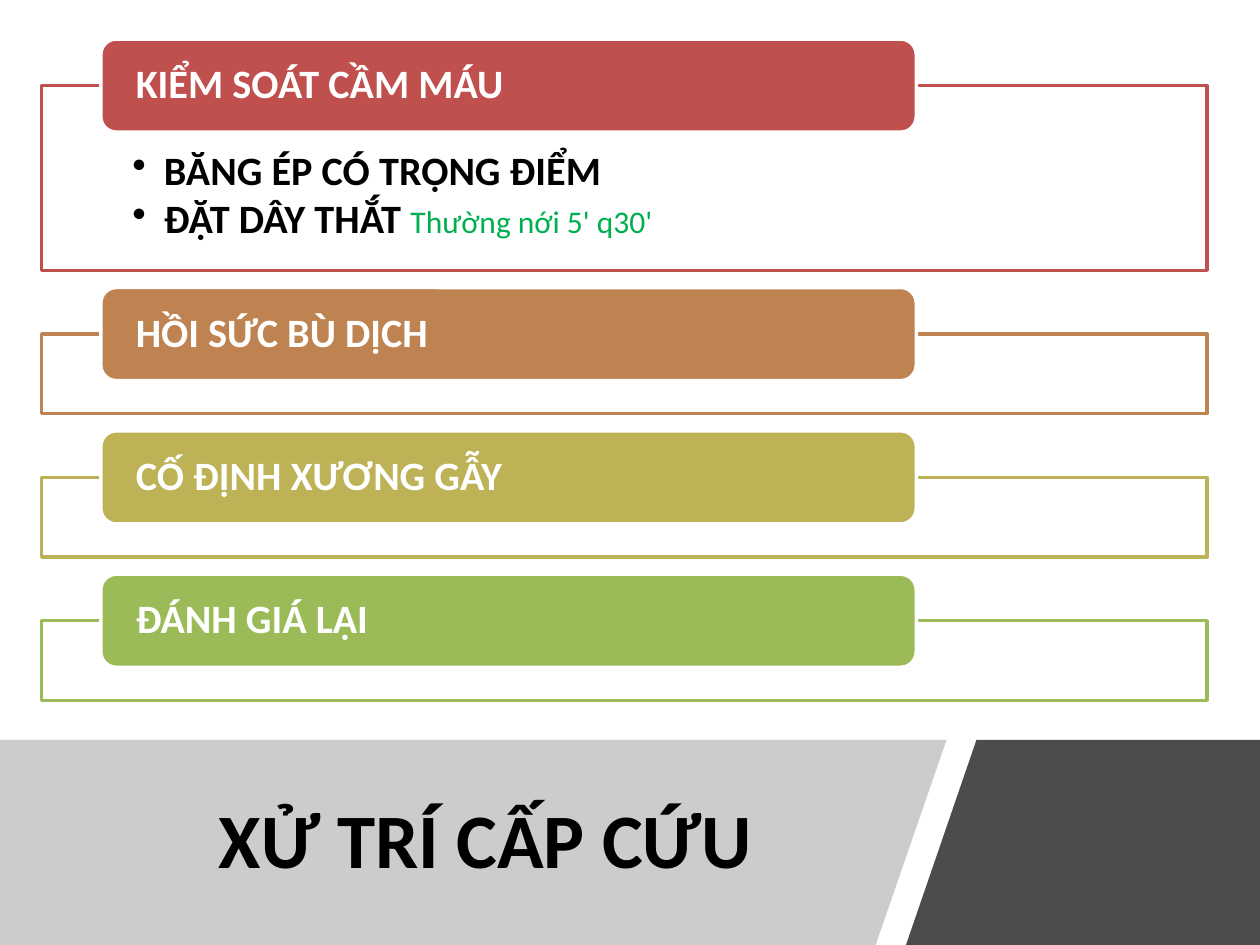
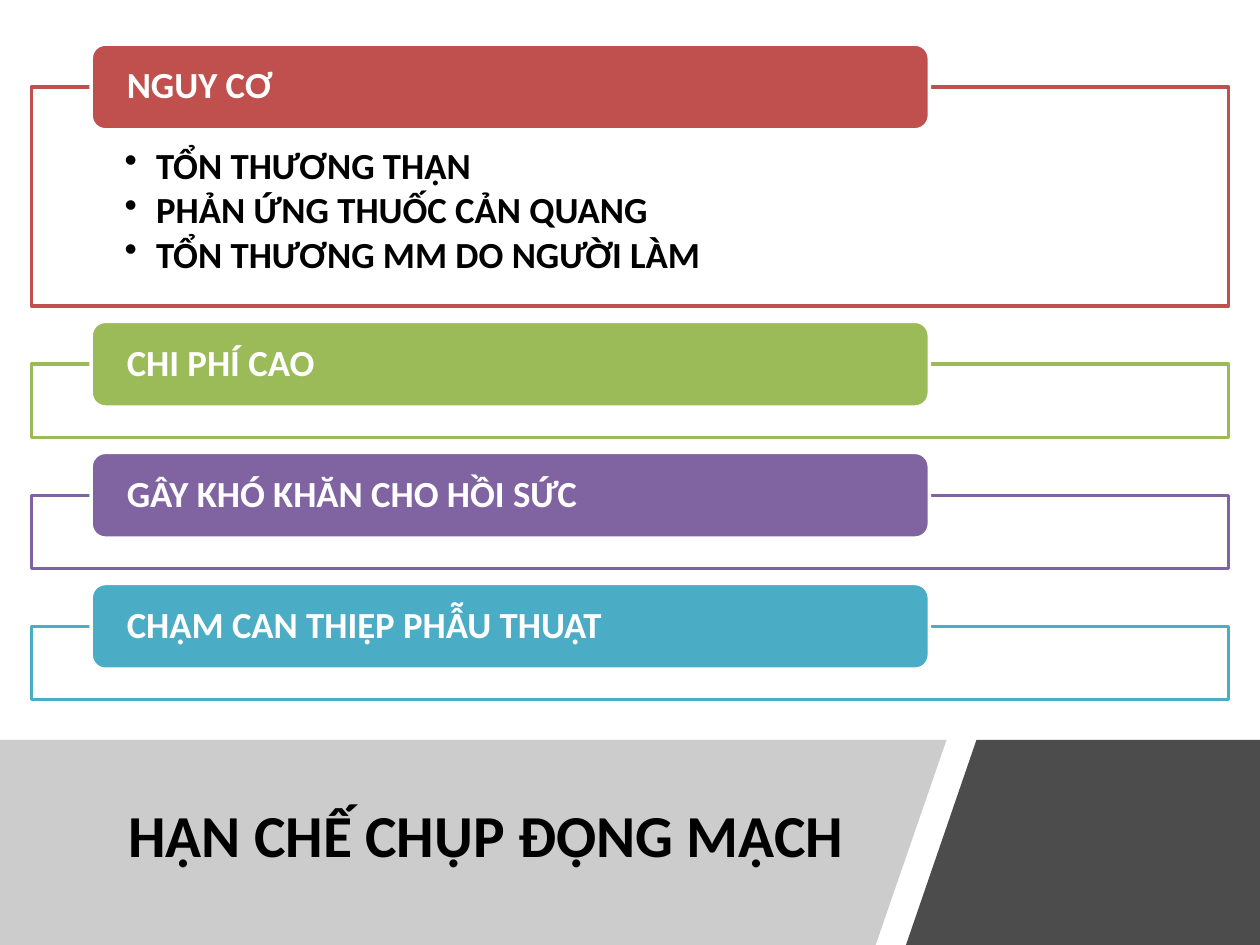
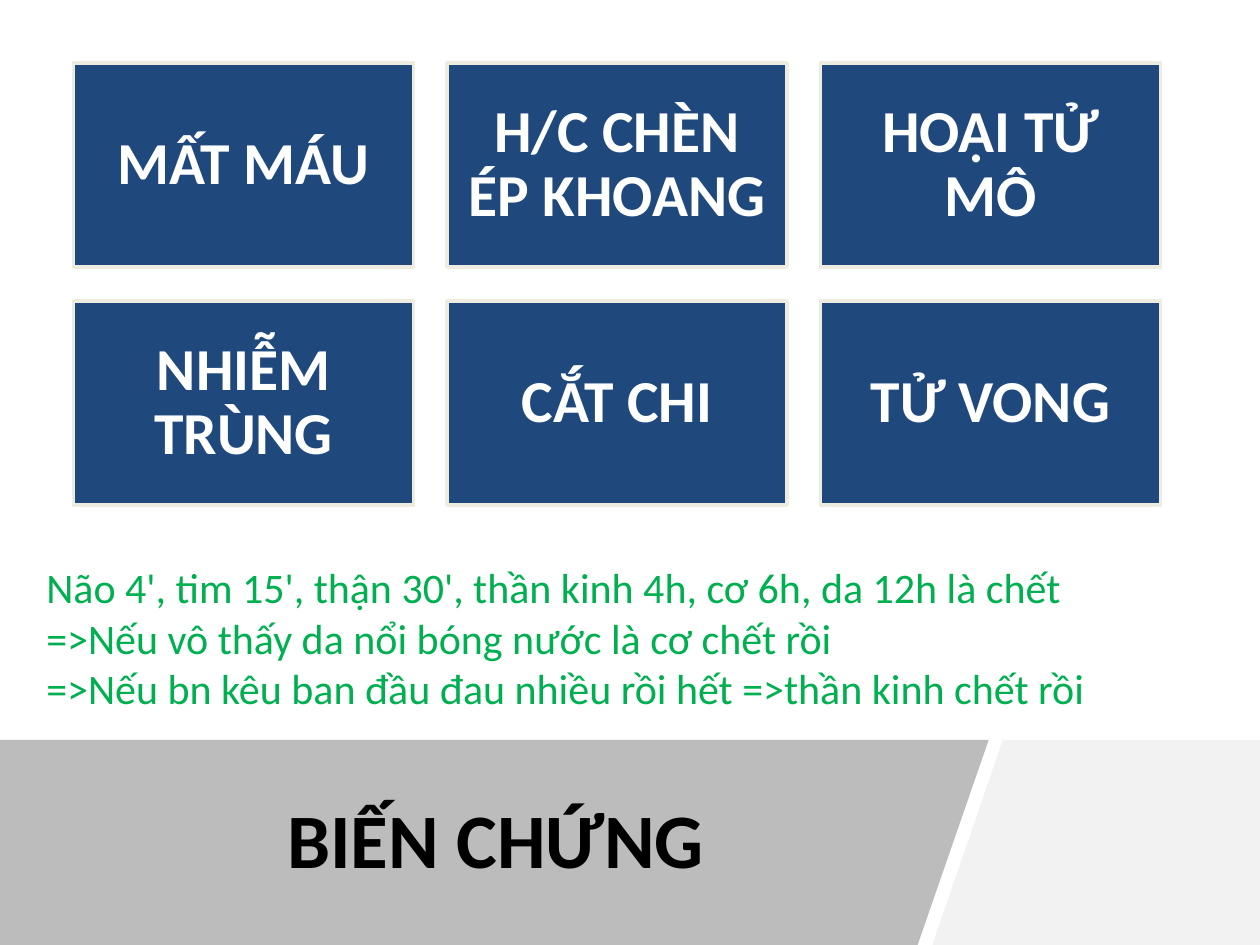
"""Build three slides on emergency care of limb injuries."""
from dataclasses import dataclass
from typing import Optional

from lxml import etree
from pptx import Presentation
from pptx.dml.color import RGBColor
from pptx.enum.shapes import MSO_SHAPE
from pptx.enum.text import MSO_ANCHOR, MSO_AUTO_SIZE, PP_ALIGN
from pptx.oxml.ns import qn
from pptx.util import Pt

RECTANGLE, ROUNDED = MSO_SHAPE.RECTANGLE, MSO_SHAPE.ROUNDED_RECTANGLE
TOP, MIDDLE = MSO_ANCHOR.TOP, MSO_ANCHOR.MIDDLE
LEFT, CENTER = PP_ALIGN.LEFT, PP_ALIGN.CENTER

FONT = "Calibri"
COLORS = {
    "white": "FFFFFF", "black": "000000", "gray": "808080", "dark": "595959",
    "pale": "F2F2F2", "red": "C0504D", "orange": "BE8351", "gold": "BDB255",
    "green": "9BBB59", "purple": "8064A2", "teal": "4BACC6", "navy": "1F497D",
    "cream": "EEECE1", "note": "00B050",
}
PAGE_WIDTH, PAGE_HEIGHT = 720, 540
BAND_TOP = 422.8
INDENT = 18


@dataclass(frozen=True)
class Span:
    """A piece of text that may differ from its paragraph's format."""
    text: str
    size: Optional[float] = None
    color: Optional[str] = None
    bold: Optional[bool] = None


@dataclass(frozen=True)
class Band:
    """A slanted part of the title band."""
    corners: tuple
    color: str
    alpha: int = 100


@dataclass(frozen=True)
class Section:
    """A framed section with a label and optional bullets."""
    label: str
    color: str
    bullets: tuple = ()


@dataclass(frozen=True)
class SectionStyle:
    """Measures of a column of sections."""
    left: float
    width: float
    top: float
    first_height: float
    height: float
    gap: float
    label_left: float
    label_width: float
    label_height: float
    label_inset: float
    bullet_insets: tuple
    size: float


def left_band(top_right: float, bottom_right: float, color: str) -> Band:
    """Return the translucent band behind the title."""
    return Band(((0, BAND_TOP), (top_right, BAND_TOP),
                 (bottom_right, PAGE_HEIGHT), (0, PAGE_HEIGHT)), color, 40)


def right_band(top_left: float, bottom_left: float, color: str, alpha: int) -> Band:
    """Return the band in the lower right corner."""
    return Band(((top_left, BAND_TOP), (PAGE_WIDTH, BAND_TOP),
                 (PAGE_WIDTH, PAGE_HEIGHT), (bottom_left, PAGE_HEIGHT)), color, alpha)


SECTION_BANDS = (left_band(540.9, 500.4, "gray"), right_band(558, 517.7, "black", 70))
OUTCOME_BANDS = (right_band(573.1, 532.8, "pale", 100), left_band(565, 524.4, "dark"))

CARE_STYLE = SectionStyle(23.8, 666, 48.9, 105.6, 45.5, 36.4,
                          57.6, 466, 53.2, 17.4, (51.8, 37.4, 51.8, 13), 23)
CARE = (
    Section("KIỂM SOÁT CẦM MÁU", "red", (
        (Span("BĂNG ÉP CÓ TRỌNG ĐIỂM"),),
        (Span("ĐẶT DÂY THẮT "), Span("Thường nới 5' q30'", 18, "note", False)))),
    Section("HỒI SỨC BÙ DỊCH", "orange"),
    Section("CỐ ĐỊNH XƯƠNG GẪY", "gold"),
    Section("ĐÁNH GIÁ LẠI", "green"),
)
LIMITS_STYLE = SectionStyle(18, 684, 49.7, 125.3, 41.8, 33.1,
                            52.1, 479, 49, 18, (53.2, 34.6, 53.2, 11.5), 21)
LIMITS = (
    Section("NGUY CƠ", "red", (
        (Span("TỔN THƯƠNG THẬN"),),
        (Span("PHẢN ỨNG THUỐC CẢN QUANG"),),
        (Span("TỔN THƯƠNG MM DO NGƯỜI LÀM"),))),
    Section("CHI PHÍ CAO", "green"),
    Section("GÂY KHÓ KHĂN CHO HỒI SỨC", "purple"),
    Section("CHẬM CAN THIỆP PHẪU THUẬT", "teal"),
)
OUTCOMES = ("MẤT MÁU", "H/C CHÈN ÉP KHOANG", "HOẠI TỬ MÔ",
            "NHIỄM TRÙNG", "CẮT CHI", "TỬ VONG")
NOTES = (
    "Não 4', tim 15', thận 30', thần kinh 4h, cơ 6h, da 12h là chết",
    "=>Nếu vô thấy da nổi bóng nước là cơ chết rồi",
    "=>Nếu bn kêu ban đầu đau nhiều rồi hết =>thần kinh chết rồi",
)


def rgb(name: str) -> RGBColor:
    """Return the named colour."""
    return RGBColor.from_string(COLORS[name])


def paint(shape, fill: str, alpha: int = 100, line: Optional[str] = None) -> None:
    """Set the fill, its opacity and the outline of a shape."""
    shape.shadow.inherit = False
    shape.fill.solid()
    shape.fill.fore_color.rgb = rgb(fill)
    if alpha < 100:
        color = shape.element.spPr.find(qn("a:solidFill"))[0]
        etree.SubElement(color, qn("a:alpha"), val=str(alpha * 1000))
    if line:
        shape.line.color.rgb = rgb(line)
        shape.line.width = Pt(2)
    else:
        shape.line.fill.background()


def add_bullet(para) -> None:
    """Give a paragraph a hanging bullet."""
    properties = para._p.get_or_add_pPr()
    properties.set("marL", str(Pt(INDENT)))
    properties.set("indent", str(-Pt(INDENT)))
    etree.SubElement(properties, qn("a:buChar"), char="•")


def write(box, paragraphs, *, size: float, color: str, bold: bool = True,
          align=LEFT, anchor=MIDDLE, insets=(7.2, 3.6, 7.2, 3.6),
          spacing: Optional[float] = None, after: float = 0,
          bullets: bool = False) -> None:
    """Fill a shape with paragraphs, each a string or a tuple of spans."""
    frame = box.text_frame
    frame.word_wrap = True
    frame.auto_size = MSO_AUTO_SIZE.NONE
    frame.vertical_anchor = anchor
    (frame.margin_left, frame.margin_top,
     frame.margin_right, frame.margin_bottom) = map(Pt, insets)
    for index, content in enumerate(paragraphs):
        para = frame.add_paragraph() if index else frame.paragraphs[0]
        para.alignment = align
        para.space_after = Pt(after)
        if spacing:
            para.line_spacing = spacing
        if bullets:
            add_bullet(para)
        for span in (Span(content),) if isinstance(content, str) else content:
            run = para.add_run()
            run.text = span.text
            run.font.name = FONT
            run.font.size = Pt(span.size or size)
            run.font.bold = bold if span.bold is None else span.bold
            run.font.color.rgb = rgb(span.color or color)


def add_box(page, kind, left: float, top: float, width: float, height: float):
    """Add a preset shape measured in points."""
    return page.shapes.add_shape(kind, Pt(left), Pt(top), Pt(width), Pt(height))


def add_band(page, band: Band) -> None:
    """Draw one part of the title band."""
    start, *others = [(Pt(x), Pt(y)) for x, y in band.corners]
    builder = page.shapes.build_freeform(*start)
    builder.add_line_segments(others, close=True)
    paint(builder.convert_to_shape(), band.color, band.alpha)


def add_page(deck, title: str, bands, *, size: float = 44, width: float = 455.8,
             spacing: Optional[float] = None):
    """Add a page with its bands and its title in front of them."""
    page = deck.slides.add_slide(deck.slide_layouts[5])
    for band in bands:
        add_band(page, band)
    box = page.shapes.title
    box.left, box.top, box.width, box.height = Pt(49.7), Pt(435.6), Pt(width), Pt(86.4)
    write(box, [title], size=size, color="black", align=CENTER, spacing=spacing)
    box.element.getparent().append(box.element)
    return page


def add_sections(page, sections, style: SectionStyle) -> None:
    """Stack framed sections, each label centred on its frame's top edge."""
    top = style.top
    for section in sections:
        height = style.first_height if section.bullets else style.height
        frame = add_box(page, RECTANGLE, style.left, top, style.width, height)
        paint(frame, "white", 90, section.color)
        if section.bullets:
            write(frame, section.bullets, size=style.size, color="black", anchor=TOP,
                  insets=style.bullet_insets, spacing=0.9, after=2.7, bullets=True)
        label = add_box(page, ROUNDED, style.label_left, top - style.label_height / 2,
                        style.label_width, style.label_height)
        paint(label, section.color, line="white")
        write(label, [section.label], size=style.size, color="white", spacing=0.9,
              insets=(style.label_inset, 0, style.label_inset, 0))
        top += height + style.gap


def add_outcomes(page) -> None:
    """Lay the outcomes out in three columns."""
    for index, outcome in enumerate(OUTCOMES):
        row, column = divmod(index, 3)
        tile = add_box(page, RECTANGLE, 42 + 213.4 * column, 36 + 136 * row, 194.4, 116.6)
        paint(tile, "navy", line="cream")
        write(tile, [outcome], size=34, color="white", align=CENTER,
              insets=(10,) * 4, spacing=0.9)


def main() -> None:
    """Build and save the deck."""
    deck = Presentation()
    deck.slide_width, deck.slide_height = Pt(PAGE_WIDTH), Pt(PAGE_HEIGHT)

    page = add_page(deck, "XỬ TRÍ CẤP CỨU", SECTION_BANDS)
    add_sections(page, CARE, CARE_STYLE)

    page = add_page(deck, "HẠN CHẾ CHỤP ĐỘNG MẠCH", SECTION_BANDS, size=34, spacing=0.9)
    add_sections(page, LIMITS, LIMITS_STYLE)

    page = add_page(deck, "BIẾN CHỨNG ", OUTCOME_BANDS, width=477.4)
    add_outcomes(page)
    notes = page.shapes.add_textbox(Pt(19.4), Pt(317.5), Pt(665.3), Pt(94.3))
    write(notes, NOTES, size=24, color="note", bold=False, anchor=TOP)

    deck.save("out.pptx")


if __name__ == "__main__":
    main()
